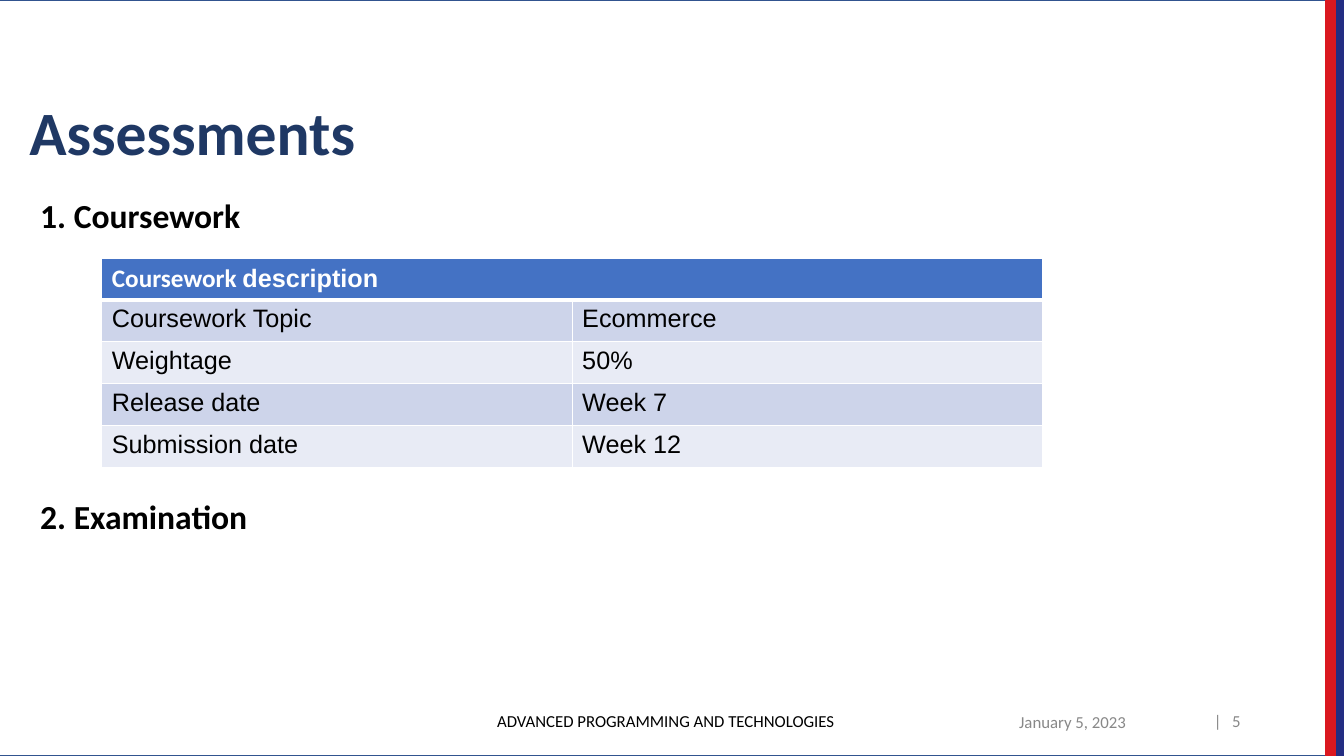
import pptx
import pptx.util
import pptx.dml.color
import pptx.enum.shapes
import pptx.enum.text
import pptx.oxml
import pptx.oxml.ns
from lxml import etree

Inch = pptx.util.Inches
Pt = pptx.util.Pt
Align = pptx.enum.text.PP_ALIGN
Anchor = pptx.enum.text.MSO_ANCHOR
WIDE, HIGH = 13.33, 7.5
BAR = 0.09
INK = {
    "white": "FFFFFF", "black": "000000", "grey": "888888",
    "navy": "1F3864", "edge": "31538F", "blue": "232D82", "red": "DA1820",
    "head": "4472C4", "odd": "CDD4EA", "even": "E8EBF5",
}
ROWS = [
    ("Coursework Topic", "Ecommerce"),
    ("Weightage", "50%"),
    ("Release date", "Week 7"),
    ("Submission date", "Week 12"),
]


def tint(name):
    return pptx.dml.color.RGBColor.from_string(INK[name])


def style(font, size, color, bold=False, face="Calibri"):
    font.name, font.size, font.bold = face, Pt(size), bold
    font.color.rgb = tint(color)


def block(slide, box, fill, edge):
    kind = pptx.enum.shapes.MSO_SHAPE.RECTANGLE
    shape = slide.shapes.add_shape(kind, *map(Inch, box))
    shape.shadow.inherit = False
    shape.fill.solid()
    shape.fill.fore_color.rgb = tint(fill)
    shape.line.color.rgb = tint(edge)
    shape.line.width = Pt(1)


def label(slide, box, text, color, align):
    frame = slide.shapes.add_textbox(*map(Inch, box)).text_frame
    frame.word_wrap = True
    frame.vertical_anchor = Anchor.MIDDLE
    para = frame.paragraphs[0]
    para.text, para.alignment = text, align
    style(para.font, 12, color)
    return frame


# Framed page with two bars down the right side
def backdrop(slide):
    block(slide, (-BAR, 0, WIDE - BAR, HIGH), "white", "edge")
    for step, color in enumerate(("blue", "red"), 1):
        block(slide, (WIDE - step * BAR, 0, BAR, HIGH), color, color)


def heading(slide, box):
    title = slide.shapes.title
    title.left, title.top, title.width, title.height = map(Inch, box)
    frame = title.text_frame
    frame.word_wrap = True
    frame.auto_size = pptx.enum.text.MSO_AUTO_SIZE.NONE
    frame.vertical_anchor = Anchor.BOTTOM
    para = frame.paragraphs[0]
    para.text, para.alignment = "Assessments", Align.LEFT
    para.line_spacing = 0.9
    style(para.font, 44, "navy", True)


# Two numbered headings, with room for the table between them
def topics(slide, box):
    frame = slide.shapes.add_textbox(*map(Inch, box)).text_frame
    frame.word_wrap = True
    first, second = frame.paragraphs[0], frame.add_paragraph()
    first.text, second.text = "1. Coursework", "2. Examination"
    second.space_before = Pt(189)
    for para in (first, second):
        para.alignment = Align.JUSTIFY
        para.line_spacing = 0.9
        style(para.font, 24, "black", True)


def border(cell, top, bottom):
    props = cell._tc.get_or_add_tcPr()
    for side, size in zip("LRTB", (1, 1, top, bottom)):
        line = etree.SubElement(props, pptx.oxml.ns.qn("a:ln" + side), w=str(Pt(size)))
        fill = etree.SubElement(line, pptx.oxml.ns.qn("a:solidFill"))
        etree.SubElement(fill, pptx.oxml.ns.qn("a:srgbClr"), val=INK["white"])


def details(slide, box):
    count = len(ROWS) + 1
    table = slide.shapes.add_table(count, 2, *map(Inch, box)).table
    for row in range(count):
        for col in range(2):
            cell = table.cell(row, col)
            border(cell, 3 if row == 1 else 1, 3 if row == 0 else 1)
            cell.fill.solid()
            name = "head" if row == 0 else "odd" if row % 2 else "even"
            cell.fill.fore_color.rgb = tint(name)
            if row:
                para = cell.text_frame.paragraphs[0]
                para.text = ROWS[row - 1][col]
                style(para.font, 18, "black", face="Arial")
    top = table.cell(0, 0)
    top.merge(table.cell(0, 1))
    para = top.text_frame.paragraphs[0]
    for text, face in (("Coursework ", "Calibri"), ("description", "Arial")):
        run = para.add_run()
        run.text = text
        style(run.font, 18, "white", True, face)


def footer(slide, top):
    label(slide, (10.01, top + 0.01, 1.47, 0.4), "January 5, 2023", "grey", Align.LEFT)
    label(slide, (3.47, top, 6.27, 0.4), "ADVANCED PROGRAMMING AND TECHNOLOGIES",
          "black", Align.CENTER)
    # A tab stop parts the bar from the page number
    frame = label(slide, (11.67, top, 0.75, 0.4), "|\t5", "grey", Align.LEFT)
    frame.margin_left = Inch(0.37)
    frame.margin_right = 0
    props = frame.paragraphs[0]._p.get_or_add_pPr()
    stops = pptx.oxml.parse_xml(
        f'<a:tabLst {pptx.oxml.ns.nsdecls("a")}>'
        f'<a:tab pos="{Inch(0.18)}" algn="l"/></a:tabLst>')
    props.insert_element_before(stops, "a:defRPr", "a:extLst")


def main():
    deck = pptx.Presentation()
    deck.slide_width, deck.slide_height = Inch(WIDE), Inch(HIGH)
    slide = deck.slides.add_slide(deck.slide_layouts.get_by_name("Title Only"))
    backdrop(slide)
    topics(slide, (0.3, 1.93, 12.22, 4.91))
    heading(slide, (0.19, 0.27, 12.23, 1.45))
    footer(slide, 6.95)
    details(slide, (1.01, 2.56, 9.33, 2.08))
    # The title stands above the page panel
    tree = slide.shapes._spTree
    tree.append(slide.shapes.title._element)
    deck.save("out.pptx")


if __name__ == "__main__":
    main()
